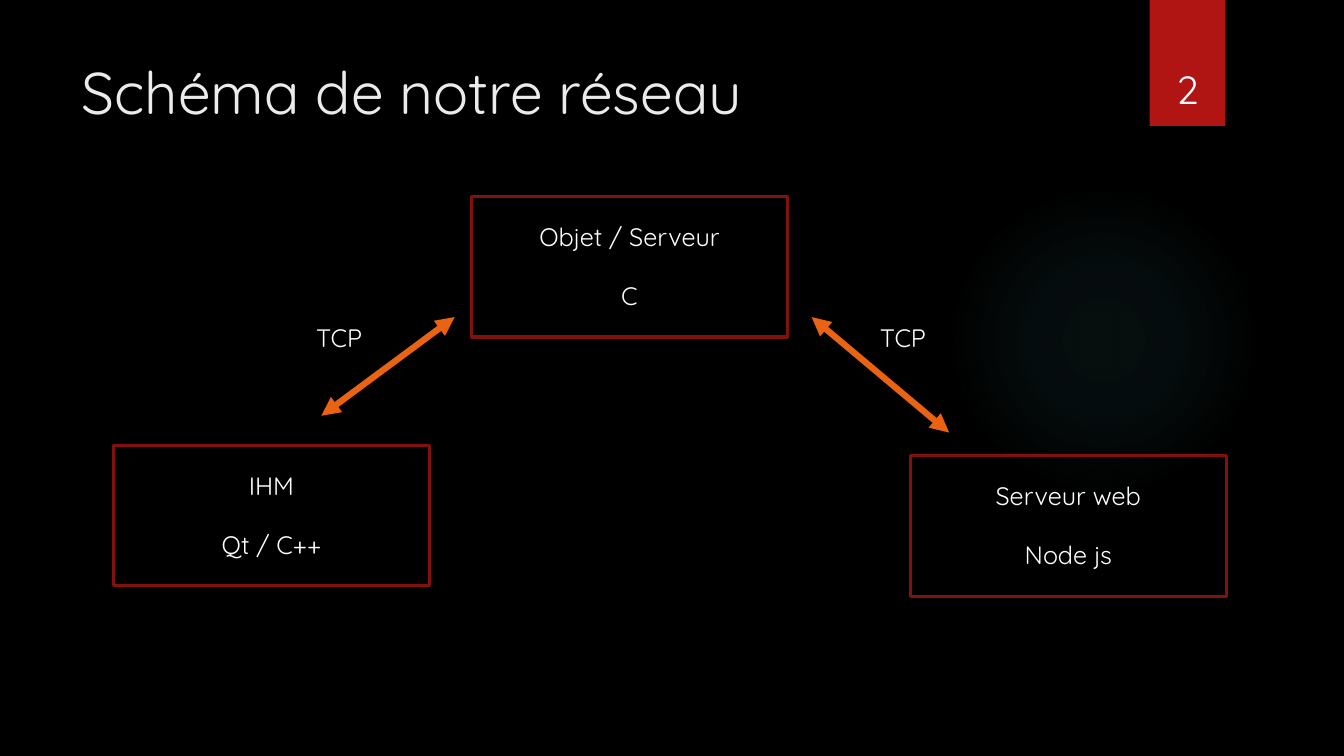
from dataclasses import dataclass

import pptx
import pptx.dml.color
import pptx.enum.shapes
import pptx.enum.text
import pptx.oxml
import pptx.oxml.ns
import pptx.shapes.autoshape
import pptx.slide
import pptx.util

PX = 9525
FONT = "Quicksand"
COLORS = {
    "background": "000000",
    "glow": "50B9C1",
    "ribbon": "B01513",
    "border": "82100E",
    "arrow": "EA6312",
    "title": "EBEBEB",
    "text": "FFFFFF",
}
NODE_WIDTH, NODE_HEIGHT = 301, 134
LABEL_INSET, LABEL_HEIGHT = 19, 97
LINE_GAP = 20.7
GLOW_STOPS = ((0, 7), (36, 6), (69, 0))

Align = pptx.enum.text.PP_ALIGN
Anchor = pptx.enum.text.MSO_ANCHOR
Preset = pptx.enum.shapes.MSO_SHAPE


@dataclass(frozen=True)
class Node:
    left: int
    top: int
    label_left: int
    label_width: int
    lines: tuple[str, ...]


@dataclass(frozen=True)
class Link:
    start: tuple[int, int]
    end: tuple[int, int]
    protocol: str
    label_left: int
    label_top: int


NODES = (
    Node(449, 187, 489, 221, ("Objet / Serveur", "C")),
    Node(867, 434, 897, 241, ("Serveur web", "Node js")),
    Node(108, 424, 146, 225, ("IHM", "Qt / C++")),
)
LINKS = (
    Link((306, 396), (433, 302), "TCP", 275, 302),
    Link((773, 302), (904, 412), "TCP", 812, 302),
)


def px(*lengths: int) -> list[pptx.util.Emu]:
    return [pptx.util.Emu(length * PX) for length in lengths]


def rgb(name: str) -> pptx.dml.color.RGBColor:
    return pptx.dml.color.RGBColor.from_string(COLORS[name])


def add_text(
    slide: pptx.slide.Slide,
    box: tuple[int, int, int, int],
    lines: tuple[str, ...],
    size: int = 18,
    color: str = "text",
    align: Align = Align.CENTER,
    anchor: Anchor = Anchor.TOP,
) -> None:
    frame = slide.shapes.add_textbox(*px(*box)).text_frame
    frame.word_wrap = True
    frame.vertical_anchor = anchor
    for index, line in enumerate(lines):
        paragraph = frame.add_paragraph() if index else frame.paragraphs[0]
        paragraph.alignment = align
        if index:
            paragraph.space_before = pptx.util.Pt(LINE_GAP)
        run = paragraph.add_run()
        run.text = line
        run.font.name = FONT
        run.font.size = pptx.util.Pt(size)
        run.font.color.rgb = rgb(color)


def add_plain_shape(
    slide: pptx.slide.Slide, preset: Preset, box: tuple[int, int, int, int]
) -> pptx.shapes.autoshape.Shape:
    shape = slide.shapes.add_shape(preset, *px(*box))
    shape.shadow.inherit = False
    shape.fill.background()
    shape.line.fill.background()
    return shape


def add_glow(slide: pptx.slide.Slide) -> None:
    glow = add_plain_shape(slide, Preset.OVAL, (903, 176, 296, 296))
    stops = "".join(
        f'<a:gs pos="{position * 1000}"><a:srgbClr val="{COLORS["glow"]}">'
        f'<a:alpha val="{opacity * 1000}"/></a:srgbClr></a:gs>'
        for position, opacity in GLOW_STOPS
    )
    gradient = pptx.oxml.parse_xml(
        f'<a:gradFill {pptx.oxml.ns.nsdecls("a")} rotWithShape="1">'
        f"<a:gsLst>{stops}</a:gsLst>"
        '<a:path path="circle">'
        '<a:fillToRect l="50000" t="50000" r="50000" b="50000"/>'
        "</a:path></a:gradFill>"
    )
    properties = glow.element.spPr
    properties.replace(properties.find(pptx.oxml.ns.qn("a:noFill")), gradient)


def add_node_border(slide: pptx.slide.Slide, node: Node) -> None:
    border = add_plain_shape(
        slide, Preset.RECTANGLE, (node.left, node.top, NODE_WIDTH, NODE_HEIGHT)
    )
    border.line.color.rgb = rgb("border")
    border.line.width = pptx.util.Pt(2.25)


def add_link(slide: pptx.slide.Slide, link: Link) -> None:
    arrow = slide.shapes.add_connector(
        pptx.enum.shapes.MSO_CONNECTOR.STRAIGHT, *px(*link.start, *link.end)
    )
    arrow.line.color.rgb = rgb("arrow")
    arrow.line.width = pptx.util.Pt(4.5)
    stroke = arrow.line.fill._xPr
    for tag in ("a:headEnd", "a:tailEnd"):
        end = pptx.oxml.parse_xml(
            f'<{tag} {pptx.oxml.ns.nsdecls("a")} type="triangle"/>'
        )
        stroke.append(end)
    arrow.element.spPr.append(
        pptx.oxml.parse_xml(f'<a:effectLst {pptx.oxml.ns.nsdecls("a")}/>')
    )


def main() -> None:
    presentation = pptx.Presentation()
    presentation.slide_width, presentation.slide_height = px(1280, 720)
    slide = presentation.slides.add_slide(presentation.slide_layouts[6])
    slide.background.fill.solid()
    slide.background.fill.fore_color.rgb = rgb("background")

    add_glow(slide)
    ribbon = add_plain_shape(slide, Preset.RECTANGLE, (1095, 0, 72, 120))
    ribbon.fill.solid()
    ribbon.fill.fore_color.rgb = rgb("ribbon")
    add_text(
        slide, (68, 48, 988, 147), ("Schéma de notre réseau",), 42, "title", Align.LEFT
    )

    for node in NODES:
        add_node_border(slide, node)
        label_box = (
            node.label_left, node.top + LABEL_INSET, node.label_width, LABEL_HEIGHT
        )
        add_text(slide, label_box, node.lines)
    for link in LINKS:
        add_link(slide, link)
        add_text(slide, (link.label_left, link.label_top, 96, 38), (link.protocol,))
    add_text(slide, (1087, 31, 88, 81), ("2",), 28, anchor=Anchor.BOTTOM)

    presentation.save("out.pptx")


if __name__ == "__main__":
    main()
